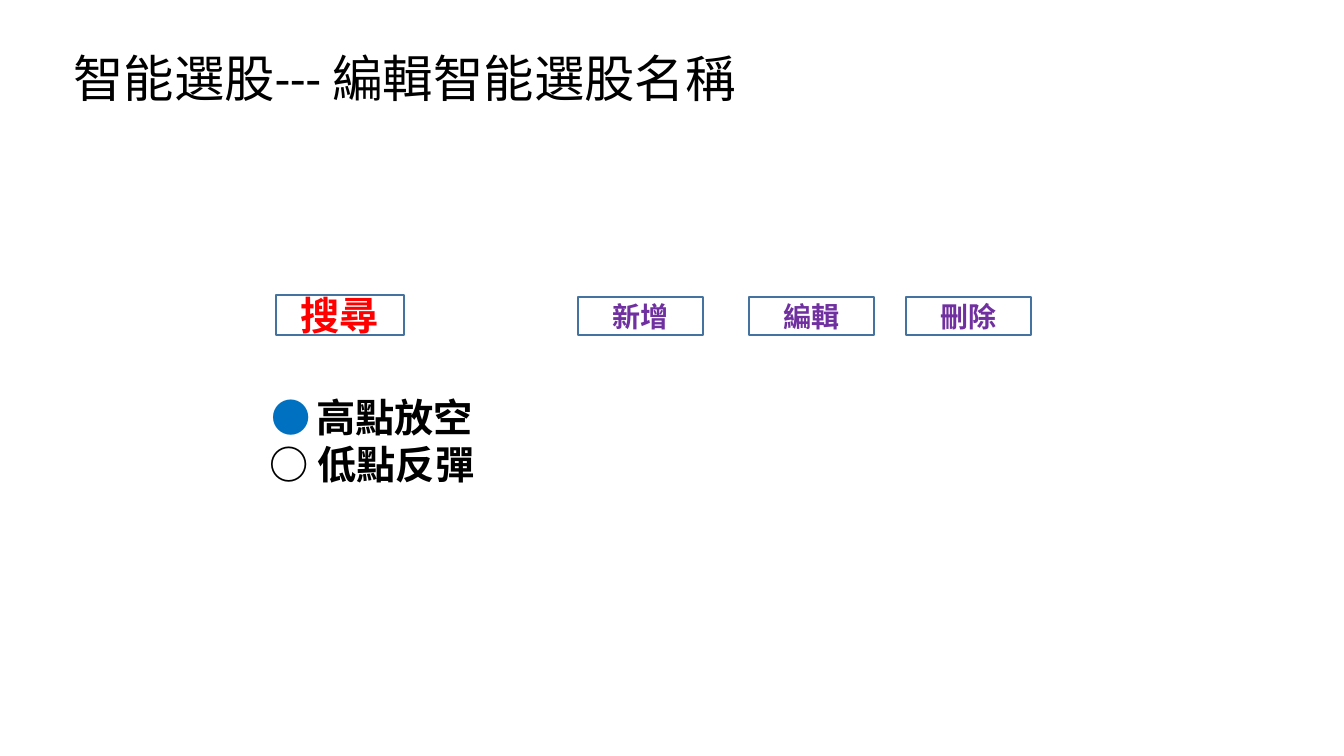
"""Build the slide for editing the names of smart stock screens."""
import dataclasses

import lxml.etree
import pptx
import pptx.dml.color
import pptx.enum.shapes
import pptx.enum.text
import pptx.oxml.ns
import pptx.util

EMU_PER_PIXEL = 914400 / 100.8


@dataclasses.dataclass(frozen=True)
class Theme:
    """Hold the colours, fonts and type sizes of the slide."""
    latin_font: str = "Calibri"
    asian_font: str = "Noto Sans CJK TC"
    white: str = "FFFFFF"
    black: str = "000000"
    red: str = "FF0000"
    purple: str = "7030A0"
    selected: str = "0070C0"
    outline: str = "43739E"
    title_size: int = 36
    large_size: int = 28
    button_size: int = 20
    gap_size: int = 18
    outline_width: int = 1


THEME = Theme()


def pixels(*lengths):
    """Turn pixel lengths into EMU."""
    return [pptx.util.Emu(round(length * EMU_PER_PIXEL)) for length in lengths]


def color(value):
    """Return the RGB colour of a hex string."""
    return pptx.dml.color.RGBColor.from_string(value)


def format_run(run, size, text_color, bold=False, latin_font=THEME.latin_font):
    """Set the size, colour, weight and fonts of a run."""
    run.font.size = pptx.util.Pt(size)
    run.font.bold = bold
    run.font.color.rgb = color(text_color)
    run.font.name = latin_font
    latin = run.font._element.find(pptx.oxml.ns.qn("a:latin"))
    asian = lxml.etree.Element(pptx.oxml.ns.qn("a:ea"), typeface=THEME.asian_font)
    latin.addnext(asian)


def center_text(text_frame):
    """Centre the text of a frame both ways."""
    text_frame.word_wrap = True
    text_frame.auto_size = pptx.enum.text.MSO_AUTO_SIZE.NONE
    text_frame.vertical_anchor = pptx.enum.text.MSO_ANCHOR.MIDDLE
    for paragraph in text_frame.paragraphs:
        paragraph.alignment = pptx.enum.text.PP_ALIGN.CENTER


def set_title(slide, text, box):
    """Fill, place and format the title placeholder."""
    title = slide.shapes.title
    title.left, title.top, title.width, title.height = pixels(*box)
    title.fill.solid()
    title.fill.fore_color.rgb = color(THEME.white)
    title.text_frame.text = text
    center_text(title.text_frame)
    format_run(title.text_frame.paragraphs[0].runs[0], THEME.title_size, THEME.black)


def add_button(slide, text, box, size, text_color):
    """Add an outlined button with a bold label."""
    button = slide.shapes.add_shape(
        pptx.enum.shapes.MSO_SHAPE.RECTANGLE, *pixels(*box))
    button.shadow.inherit = False
    button.fill.background()
    button.line.color.rgb = color(THEME.outline)
    button.line.width = pptx.util.Pt(THEME.outline_width)
    button.text_frame.text = text
    center_text(button.text_frame)
    format_run(button.text_frame.paragraphs[0].runs[0], size, text_color, bold=True)


def add_options(slide, options, box):
    """Add a list of radio options, each with a mark and a bold label."""
    text_frame = slide.shapes.add_textbox(*pixels(*box)).text_frame
    text_frame.text = "\n".join(mark for mark, *_ in options)
    center_text(text_frame)
    for paragraph, option in zip(text_frame.paragraphs, options):
        mark, label, mark_color, gap_size, mark_bold = option
        format_run(paragraph.runs[0], THEME.large_size, mark_color,
                   mark_bold, THEME.asian_font)
        gap = paragraph.add_run()
        gap.text = " "
        format_run(gap, gap_size, mark_color, mark_bold, THEME.asian_font)
        name = paragraph.add_run()
        name.text = label
        format_run(name, THEME.large_size, THEME.black, bold=True)


def main():
    """Build and save the presentation."""
    presentation = pptx.Presentation()
    presentation.slide_width, presentation.slide_height = pixels(1344, 756)
    slide = presentation.slides.add_slide(presentation.slide_layouts[5])

    set_title(slide, "智能選股--- 編輯智能選股名稱", (31, 54, 747, 46))
    add_options(slide, [
        ("●", "高點放空", THEME.selected, THEME.gap_size, False),
        ("○", "低點反彈", THEME.black, THEME.large_size, True),
    ], (167, 385, 410, 110))
    for text, left in (("新增", 578), ("編輯", 749), ("刪除", 906)):
        add_button(slide, text, (left, 297, 125, 38), THEME.button_size, THEME.purple)
    add_button(slide, "搜尋", (276, 295, 128, 40), THEME.large_size, THEME.red)

    presentation.save("out.pptx")


main()
